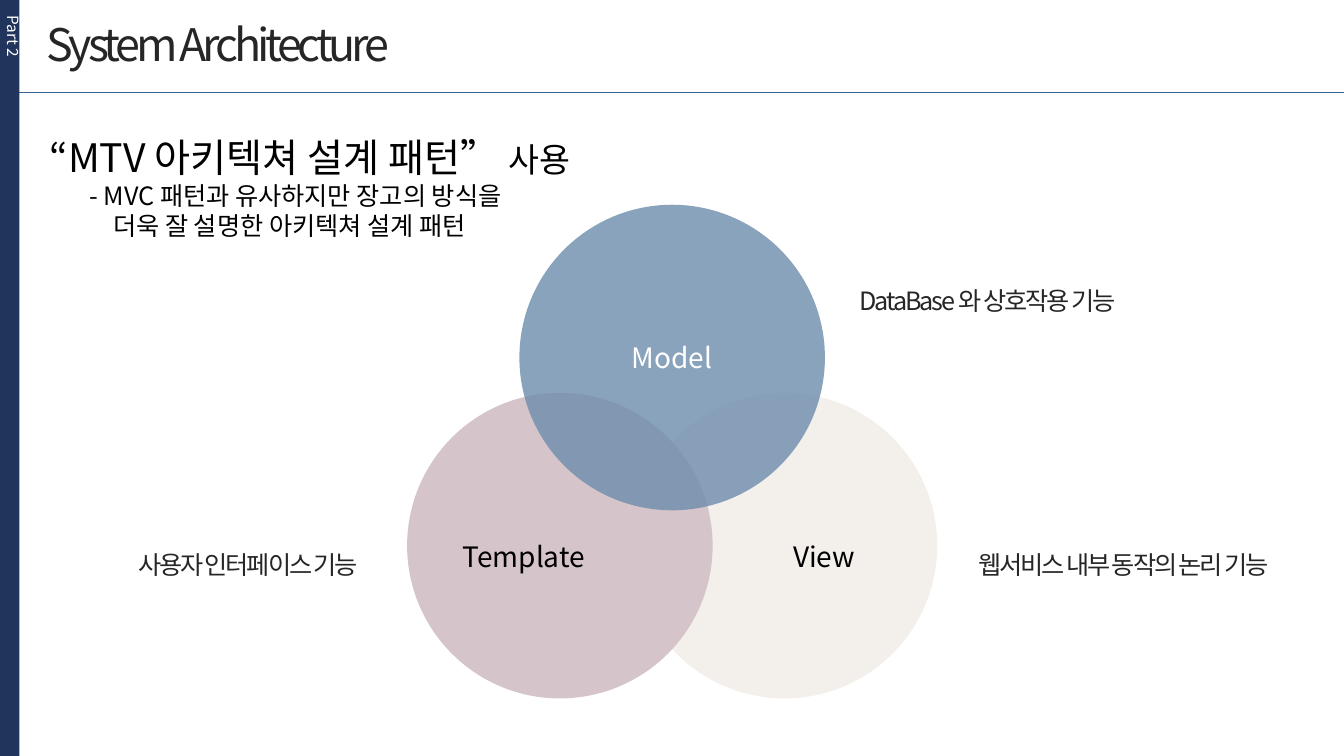
from lxml.etree import SubElement
from pptx import Presentation
from pptx.dml.color import RGBColor
from pptx.enum.shapes import MSO_CONNECTOR as Connector, MSO_SHAPE as Preset
from pptx.enum.text import MSO_AUTO_SIZE as AutoSize, PP_ALIGN as Align
from pptx.oxml.ns import qn
from pptx.util import Cm, Pt

FONT = "Noto Sans CJK KR"
BLACK, WHITE, GREY = "000000", "FFFFFF", "262626"
DIAMETER = 7.7


def color(hex_code):
    """Turn a hex string into a colour."""
    return RGBColor.from_string(hex_code)


def add_shape(page, preset, left, top, width, height, fill, opacity=100):
    """Add a borderless filled shape."""
    shape = page.shapes.add_shape(preset, Cm(left), Cm(top), Cm(width), Cm(height))
    shape.shadow.inherit = False
    shape.line.fill.background()
    shape.fill.solid()
    shape.fill.fore_color.rgb = color(fill)
    if opacity < 100:
        tone = shape._element.spPr.find(qn("a:solidFill"))[0]
        SubElement(tone, qn("a:alpha"), val=str(opacity * 1000))


def add_rule(page, left, right, top):
    """Add the thin line below the title."""
    rule = page.shapes.add_connector(
        Connector.STRAIGHT, Cm(left), Cm(top), Cm(right), Cm(top))
    rule.line.color.rgb = color("326393")
    rule.line.width = Pt(0.5)
    SubElement(rule._element.spPr, qn("a:effectLst"))


def add_box(page, left, top, width, height, wrap=True):
    """Add an empty text box and return its frame."""
    box = page.shapes.add_textbox(Cm(left), Cm(top), Cm(width), Cm(height))
    frame = box.text_frame
    frame.word_wrap = wrap
    frame.auto_size = AutoSize.SHAPE_TO_FIT_TEXT
    return frame


def style(para, size, tone=BLACK, align=Align.LEFT, spacing=0, indent=0):
    """Set the font, alignment, letter spacing and indent of a paragraph."""
    para.alignment = align
    para.font.name = FONT
    para.font.size = Pt(size)
    para.font.color.rgb = color(tone)
    properties = para._p.get_or_add_pPr()
    properties.set("marL", str(Cm(indent)))
    properties.set("indent", "0")
    defaults = properties.find(qn("a:defRPr"))
    defaults.set("spc", str(int(spacing * 100)))
    SubElement(defaults, qn("a:ea"), typeface=FONT)


def add_label(page, text, area, size, wrap=True, **looks):
    """Add a text box with one styled paragraph."""
    frame = add_box(page, *area, wrap=wrap)
    para = frame.paragraphs[0]
    para.text = text
    style(para, size, **looks)
    return frame


def add_summary(page):
    """Add the pattern heading and its two lines of explanation."""
    frame = add_box(page, 1, 3.23, 14.22, 3)
    heading = frame.paragraphs[0]
    heading.add_run().text = "“MTV 아키텍쳐 설계 패턴” "
    usage = heading.add_run()
    usage.text = "사용"
    usage.font.size = Pt(24)
    style(heading, 28)
    for text, indent in (("- MVC 패턴과 유사하지만 장고의 방식을", 1),
                         ("더욱 잘 설명한 아키텍쳐 설계 패턴", 1.6)):
        para = frame.add_paragraph()
        para.text = text
        style(para, 18, indent=indent)


def main():
    """Build the slide and save it."""
    deck = Presentation()
    deck.slide_width, deck.slide_height = Cm(33.87), Cm(19.05)
    page = deck.slides.add_slide(deck.slide_layouts[6])

    add_rule(page, 0.49, 33.87, 2.32)
    add_shape(page, Preset.RECTANGLE, 0, 0, 0.49, 19.05, "21345C")
    add_label(page, "System Architecture", (0.92, 0.3, 9.2, 1.62), 32,
              wrap=False, tone=GREY, spacing=-3)

    for left, top, fill, opacity in ((15.92, 9.9, "F1ECE6", 80),
                                     (10.26, 9.9, "D5C4CA", 100),
                                     (13.09, 5.16, "6D8CAC", 80)):
        add_shape(page, Preset.OVAL, left, top, DIAMETER, DIAMETER, fill, opacity)

    for text, left, top, width, tone in (("Template", 11.4, 13.47, 3.6, BLACK),
                                         ("Model", 15.65, 8.45, 2.56, WHITE),
                                         ("View", 19.69, 13.47, 2.16, BLACK)):
        add_label(page, text, (left, top, width, 1.11), 20,
                  wrap=False, tone=tone, align=Align.CENTER)

    part = add_label(page, "Part 2", (-0.28, 0.15, 0.99, 5.13), 11, tone=WHITE)
    part._txBody.bodyPr.set("vert", "eaVert")

    for text, left, top, width in (("사용자 인터페이스 기능", 3.23, 13.72, 7.14),
                                   ("웹서비스 내부 동작의 논리 기능", 24.41, 13.72, 9.04),
                                   ("DataBase 와 상호작용 기능", 21.41, 7.06, 8.26)):
        add_label(page, text, (left, top, width, 1.02), 18,
                  tone=GREY, align=Align.JUSTIFY, spacing=-1.5)

    add_summary(page)
    deck.save("out.pptx")


if __name__ == "__main__":
    main()
